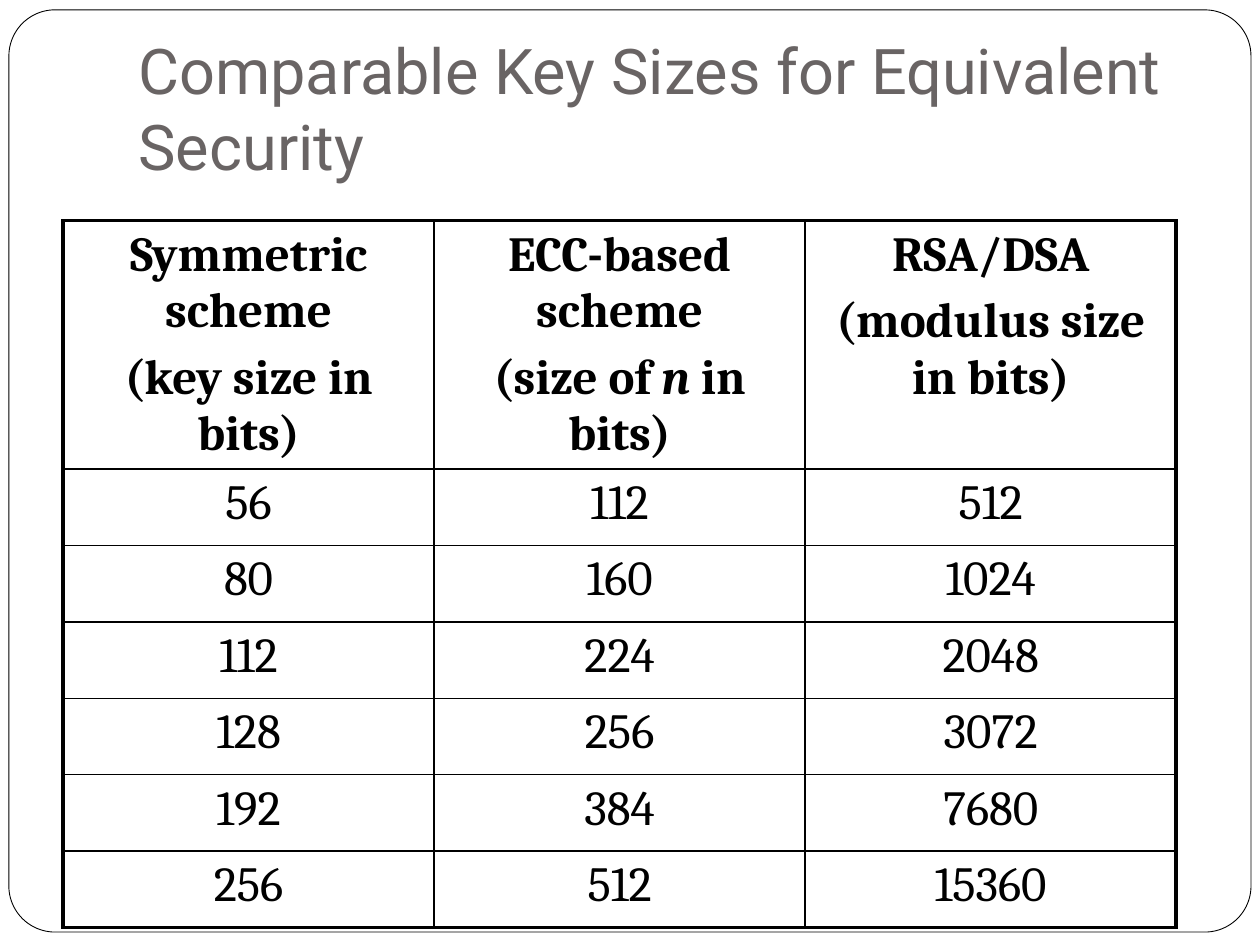
from lxml import etree
from pptx import Presentation
from pptx.dml.color import RGBColor
from pptx.enum.shapes import MSO_SHAPE
from pptx.enum.text import MSO_ANCHOR, MSO_AUTO_SIZE, PP_ALIGN
from pptx.oxml.ns import qn
from pptx.util import Cm, Pt

ROUNDED = MSO_SHAPE.ROUNDED_RECTANGLE
BOTTOM = MSO_ANCHOR.BOTTOM
NO_FIT = MSO_AUTO_SIZE.NONE
LEFT, CENTER = PP_ALIGN.LEFT, PP_ALIGN.CENTER

TITLE = "Comparable Key Sizes for Equivalent Security"
# Each heading is a list of paragraphs; a paragraph is a list of (text, italic) runs.
HEADINGS = [
    [[("Symmetric scheme", False)], [("(key size in bits)", False)]],
    [[("ECC-based scheme", False)],
     [("(size of ", False), ("n", True), (" in bits)", False)]],
    [[("RSA/DSA", False)], [("(modulus size in bits)", False)]],
]
KEY_SIZES = [
    (56, 112, 512),
    (80, 160, 1024),
    (112, 224, 2048),
    (128, 256, 3072),
    (192, 384, 7680),
    (256, 512, 15360),
]
COLORS = {"paper": "FFFFFF", "ink": "000000", "title": "696464"}
COLUMN_WIDTH, HEADING_HEIGHT, ROW_HEIGHT = Cm(7.48), Cm(4.37), Cm(1.54)
OUTER_LINE, INNER_LINE = Pt(2.25), Pt(1)


def rgb(name):
    """Return the named colour."""
    return RGBColor.from_string(COLORS[name])


def write(frame, paragraphs, font, size, color, align, bold=False, gap=0):
    """Fill a text frame with formatted paragraphs of (text, italic) runs."""
    for index, runs in enumerate(paragraphs):
        paragraph = frame.paragraphs[0] if index == 0 else frame.add_paragraph()
        paragraph.alignment = align
        paragraph.space_before = paragraph.space_after = Pt(gap)
        for text, italic in runs:
            run = paragraph.add_run()
            run.text = text
            run.font.name, run.font.size = font, Pt(size)
            run.font.bold, run.font.italic = bold, italic
            run.font.color.rgb = rgb(color)


def set_borders(cell, widths):
    """Draw the left, right, top and bottom borders of a cell."""
    properties = cell._tc.get_or_add_tcPr()
    for index, (side, width) in enumerate(zip("LRTB", widths)):
        line = etree.Element(qn(f"a:ln{side}"), w=str(int(width)))
        fill = etree.SubElement(line, qn("a:solidFill"))
        etree.SubElement(fill, qn("a:srgbClr"), val=COLORS["ink"])
        properties.insert(index, line)


def add_frame(slide):
    """Put the rounded outline behind everything else."""
    outline = slide.shapes.add_shape(ROUNDED, Cm(0.18), Cm(0.2), Cm(25.04), Cm(18.59))
    outline.adjustments[0] = 0.05
    outline.shadow.inherit = False
    outline.fill.solid()
    outline.fill.fore_color.rgb = rgb("paper")
    outline.line.color.rgb = rgb("ink")
    outline.line.width = Pt(0.5)
    slide.shapes._spTree.insert(2, outline._element)


def add_title(slide):
    """Place and format the title."""
    title = slide.shapes.title
    title.left, title.top, title.width, title.height = Cm(2.54), Cm(0.76), Cm(21.59), Cm(3.18)
    frame = title.text_frame
    frame.auto_size, frame.vertical_anchor, frame.word_wrap = NO_FIT, BOTTOM, True
    frame.margin_bottom = Cm(0.25)
    write(frame, [[(TITLE, False)]], "Roboto", 36, "title", LEFT)


def add_key_table(slide):
    """Add the table of comparable key sizes."""
    body = [[[[(str(size), False)]] for size in sizes] for sizes in KEY_SIZES]
    rows = [HEADINGS] + body
    last_row, last_column = len(rows) - 1, len(HEADINGS) - 1
    holder = slide.shapes.add_table(len(rows), len(HEADINGS), Cm(1.27), Cm(4.45),
                                    COLUMN_WIDTH * len(HEADINGS), Cm(14.48))
    table = holder.table
    for column in table.columns:
        column.width = COLUMN_WIDTH
    for r, contents in enumerate(rows):
        table.rows[r].height = ROW_HEIGHT if r else HEADING_HEIGHT
        for c, paragraphs in enumerate(contents):
            cell = table.cell(r, c)
            cell.fill.background()
            write(cell.text_frame, paragraphs, "Cambria", 28, "ink", CENTER,
                  bold=r == 0, gap=3)
            edges = (c == 0, c == last_column, r == 0, r == last_row)
            set_borders(cell, [OUTER_LINE if edge else INNER_LINE for edge in edges])
    holder.height = Cm(14.48)


deck = Presentation()
deck.slide_width, deck.slide_height = Cm(25.4), Cm(19.05)
key_slide = deck.slides.add_slide(deck.slide_layouts[5])
add_frame(key_slide)
add_title(key_slide)
add_key_table(key_slide)
deck.save("out.pptx")
